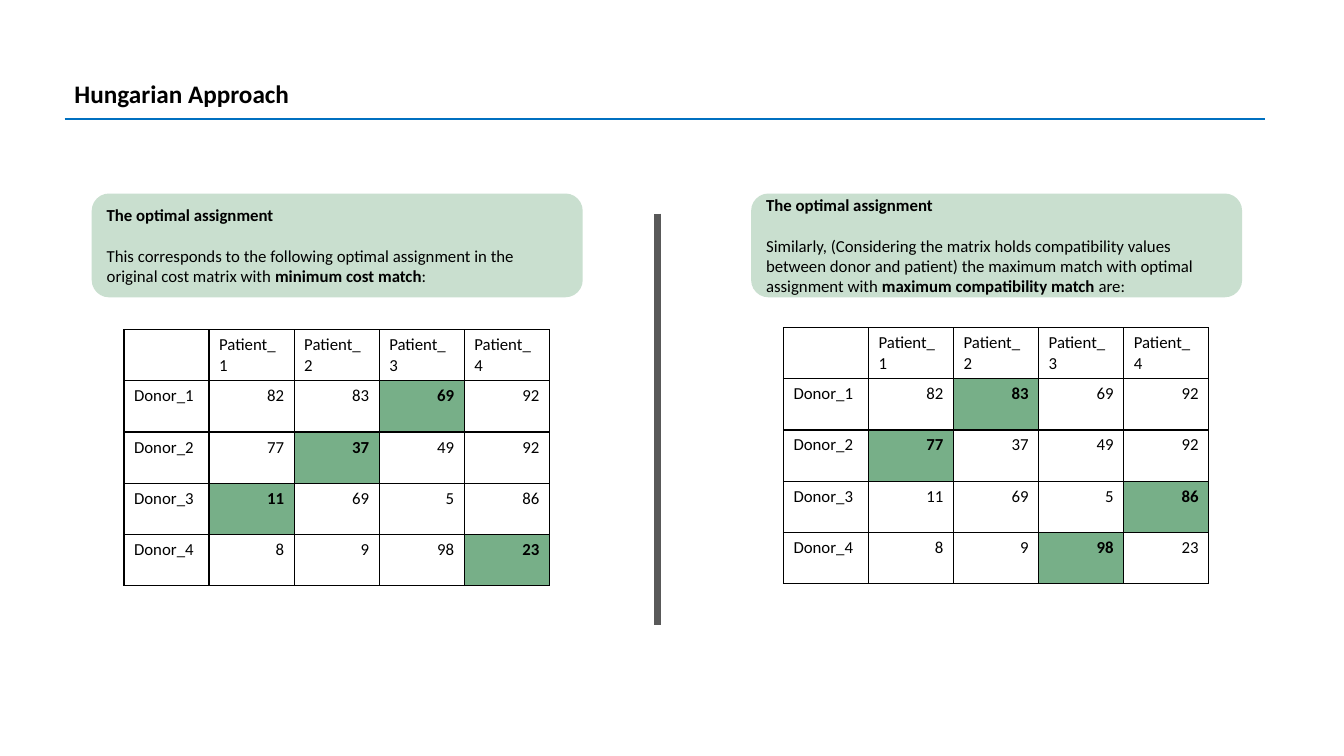
from lxml import etree
from pptx import Presentation
from pptx import util as u
from pptx.dml import color
from pptx.enum import shapes, text
from pptx.oxml import ns


def rgb(value):
    return color.RGBColor.from_string(value)


class SlideBuilder:
    font = "Calibri"
    ink = "000000"
    paper = "FFFFFF"
    card_fill = "C9DFCF"
    match_fill = "77AF88"
    body_size = 12

    def __init__(self, slide):
        self.slide = slide

    def run(self, paragraph, wording, bold=False, size=body_size):
        run = paragraph.add_run()
        run.text = wording
        run.font.name = self.font
        run.font.size = u.Pt(size)
        run.font.bold = bold
        run.font.color.rgb = rgb(self.ink)

    def title(self, wording, left, top, width, height):
        box = self.slide.shapes.add_textbox(
            u.Inches(left), u.Inches(top), u.Inches(width), u.Inches(height))
        frame = box.text_frame
        frame.word_wrap = True
        frame.auto_size = text.MSO_AUTO_SIZE.SHAPE_TO_FIT_TEXT
        self.run(frame.paragraphs[0], wording, bold=True, size=18)

    def line(self, start, end, tint, weight):
        line = self.slide.shapes.add_connector(
            shapes.MSO_CONNECTOR.STRAIGHT,
            *(u.Inches(length) for length in start + end))
        line.line.color.rgb = rgb(tint)
        line.line.width = u.Pt(weight)
        etree.SubElement(line._element.spPr, ns.qn("a:effectLst"))

    def card(self, heading, body, left, top, width, height):
        card = self.slide.shapes.add_shape(
            shapes.MSO_SHAPE.ROUNDED_RECTANGLE,
            u.Inches(left), u.Inches(top), u.Inches(width), u.Inches(height))
        card.shadow.inherit = False
        card.fill.solid()
        card.fill.fore_color.rgb = rgb(self.card_fill)
        card.line.fill.background()
        frame = card.text_frame
        frame.word_wrap = True
        frame.vertical_anchor = text.MSO_ANCHOR.MIDDLE
        explanation = frame.add_paragraph()
        explanation.space_before = u.Pt(14.65)
        for paragraph in frame.paragraphs:
            paragraph.alignment = text.PP_ALIGN.LEFT
        self.run(frame.paragraphs[0], heading, bold=True)
        for wording, bold in body:
            self.run(explanation, wording, bold)

    def border(self, cell):
        properties = cell._tc.get_or_add_tcPr()
        for side in ("a:lnL", "a:lnR", "a:lnT", "a:lnB"):
            edge = etree.SubElement(properties, ns.qn(side), w=str(u.Pt(1)))
            fill = etree.SubElement(edge, ns.qn("a:solidFill"))
            etree.SubElement(fill, ns.qn("a:srgbClr"), val=self.ink)

    def matrix(self, rows, matches, left, top, column_width, row_height):
        row_count, column_count = len(rows), len(rows[0])
        matrix = self.slide.shapes.add_table(
            row_count, column_count, u.Inches(left), u.Inches(top),
            u.Inches(column_width * column_count),
            u.Inches(row_height * row_count)).table
        matrix.first_row = False
        matrix.horz_banding = False
        for column in matrix.columns:
            column.width = u.Inches(column_width)
        for row_index, row in enumerate(rows):
            matrix.rows[row_index].height = u.Inches(row_height)
            for column_index, value in enumerate(row):
                cell = matrix.cell(row_index, column_index)
                matched = (row_index, column_index) in matches
                self.border(cell)
                cell.fill.solid()
                cell.fill.fore_color.rgb = rgb(
                    self.match_fill if matched else self.paper)
                paragraph = cell.text_frame.paragraphs[0]
                if row_index and column_index:
                    paragraph.alignment = text.PP_ALIGN.RIGHT
                if value != "":
                    self.run(paragraph, str(value), matched)


SCORES = [
    [82, 83, 69, 92],
    [77, 37, 49, 92],
    [11, 69, 5, 86],
    [8, 9, 98, 23],
]
ROWS = [[""] + [f"Patient_{number}" for number in range(1, 5)]]
ROWS += [[f"Donor_{number}"] + scores
         for number, scores in enumerate(SCORES, 1)]

MINIMUM_COST = [
    ("This corresponds to the following optimal assignment in the original "
     "cost matrix with ", False),
    ("minimum cost match", True),
    (":", False),
]
MAXIMUM_COMPATIBILITY = [
    ("Similarly, (Considering the matrix holds compatibility values between "
     "donor and patient) the maximum match with optimal assignment with ",
     False),
    ("maximum compatibility match ", True),
    ("are:", False),
]
APPROACHES = [
    (0.91, MINIMUM_COST, 1.23, 3.27, {(1, 3), (2, 2), (3, 1), (4, 4)}),
    (7.45, MAXIMUM_COMPATIBILITY, 7.77, 3.25,
     {(1, 2), (2, 1), (3, 4), (4, 3)}),
]


def main():
    deck = Presentation()
    deck.slide_width = u.Inches(13.33)
    deck.slide_height = u.Inches(7.5)
    builder = SlideBuilder(deck.slides.add_slide(deck.slide_layouts[6]))

    builder.title("Hungarian Approach", 0.64, 0.73, 10.51, 0.4)
    builder.line((0.64, 1.18), (12.55, 1.18), "0070C0", 1.5)
    builder.line((6.52, 2.12), (6.52, 6.2), "595959", 4.5)
    for card_left, body, matrix_left, matrix_top, matches in APPROACHES:
        builder.card("The optimal assignment", body,
                     card_left, 1.92, 4.87, 1.03)
        builder.matrix(ROWS, matches, matrix_left, matrix_top,
                       4.22 / 5, 2.54 / 5)

    deck.save("out.pptx")


if __name__ == "__main__":
    main()
